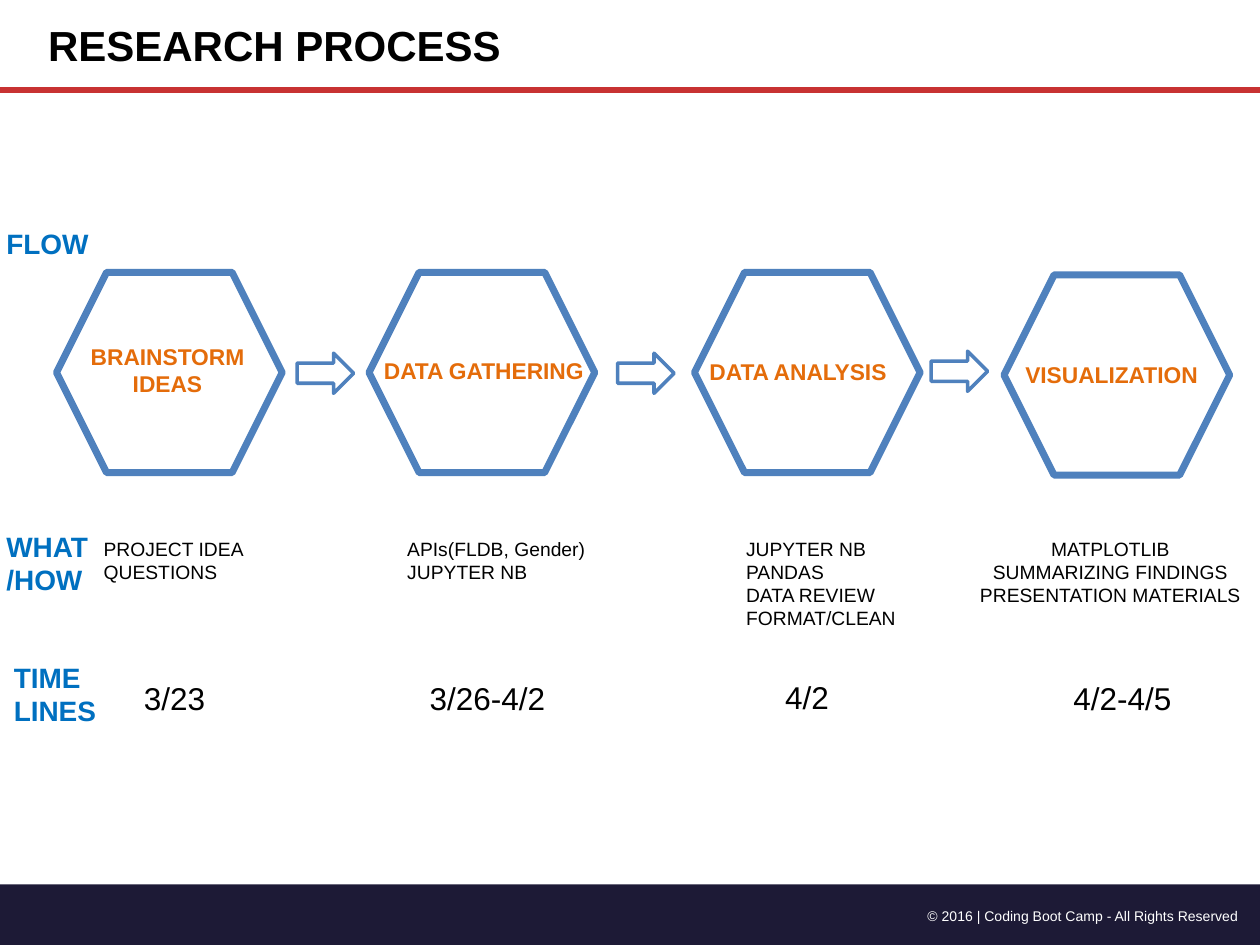
from pptx import Presentation
from pptx.dml.color import RGBColor
from pptx.enum.shapes import MSO_CONNECTOR, MSO_SHAPE
from pptx.enum.text import MSO_ANCHOR, PP_ALIGN
from pptx.oxml.ns import qn
from pptx.util import Cm, Pt
from lxml.etree import SubElement

BLACK = RGBColor(0x00, 0x00, 0x00)
WHITE = RGBColor(0xFF, 0xFF, 0xFF)
NAVY = RGBColor(0x1D, 0x1A, 0x36)
RED = RGBColor(0xC8, 0x32, 0x32)
BLUE = RGBColor(0x4F, 0x81, 0xBD)
ROW_BLUE = RGBColor(0x00, 0x70, 0xC0)
ORANGE = RGBColor(0xE4, 0x6C, 0x0A)

SLIDE_W, SLIDE_H = 25.4, 19.05
FOOTER_TOP = 17.83
HEX_W, HEX_H = 4.55, 4.04
ARROW_W, ARROW_H = 1.14, 0.81
TASKS_TOP = 10.7

TITLE = "RESEARCH PROCESS"
FOOTER = "© 2016 | Coding Boot Camp - All Rights Reserved"

ROW_LABELS = [
    (["FLOW"], (0, 4.44, 1.96, 0.94)),
    (["WHAT/HOW"], (0, 10.54, 1.96, 1.63)),
    (["TIME", "LINES"], (0.15, 13.18, 2.34, 1.63)),
]

STAGES = [
    {"hexagon": (1.14, 5.49),
     "name": ["BRAINSTORM", "IDEAS"], "name_box": (1.7, 6.78, 3.35, 1.37),
     "tasks": ["PROJECT IDEA", "QUESTIONS"], "tasks_box": (1.96, 3.12),
     "dates": "3/23", "dates_box": (2.77, 13.56, 1.8)},
    {"hexagon": (7.44, 5.49),
     "name": ["DATA GATHERING"], "name_box": (7.45, 7.06, 4.6, 0.81),
     "tasks": ["APIs(FLDB, Gender)", "JUPYTER NB"], "tasks_box": (8.08, 4.04),
     "dates": "3/26-4/2", "dates_box": (8.53, 13.56, 2.67)},
    {"hexagon": (14, 5.49),
     "name": ["DATA ANALYSIS"], "name_box": (14.07, 7.09, 4.03, 0.81),
     "tasks": ["JUPYTER NB", "PANDAS", "DATA REVIEW", "FORMAT/CLEAN"],
     "tasks_box": (14.91, 3.33),
     "dates": "4/2", "dates_box": (15.7, 13.53, 1.8)},
    {"hexagon": (20.24, 5.54),
     "name": ["VISUALIZATION"], "name_box": (20.5, 7.14, 3.81, 0.81),
     "tasks": ["MATPLOTLIB", "SUMMARIZING FINDINGS", "PRESENTATION MATERIALS"],
     "tasks_box": (19.58, 5.61), "tasks_align": PP_ALIGN.CENTER,
     "dates": "4/2-4/5", "dates_box": (21.51, 13.56, 2.34)},
]

ARROWS = [(5.99, 7.12), (12.45, 7.12), (18.77, 7.08)]


def add_text(slide, lines, box, size, color=BLACK, bold=False, wrap=True,
             align=PP_ALIGN.LEFT, anchor=MSO_ANCHOR.TOP):
    frame = slide.shapes.add_textbox(*map(Cm, box)).text_frame
    frame.word_wrap = wrap
    frame.vertical_anchor = anchor
    frame.margin_left = frame.margin_right = Cm(0.13)
    frame.margin_top = frame.margin_bottom = Cm(0.13)
    for index, line in enumerate(lines):
        paragraph = frame.add_paragraph() if index else frame.paragraphs[0]
        paragraph.alignment = align
        run = paragraph.add_run()
        run.text = line
        run.font.name = "Arial"
        run.font.size = Pt(size)
        run.font.bold = bold
        run.font.color.rgb = color


def add_block(slide, preset, box, fill, line=None, weight=0):
    block = slide.shapes.add_shape(preset, *map(Cm, box))
    block.shadow.inherit = False
    block.fill.solid()
    block.fill.fore_color.rgb = fill
    if line is None:
        block.line.fill.background()
    else:
        block.line.color.rgb = line
        block.line.width = Pt(weight)


def add_frame(slide):
    add_block(slide, MSO_SHAPE.RECTANGLE,
              (0, FOOTER_TOP, SLIDE_W, SLIDE_H - FOOTER_TOP), NAVY)
    add_text(slide, [FOOTER], (17.35, 18.16, 7.75, 0.56), 8,
             color=WHITE, align=PP_ALIGN.RIGHT)
    rule = slide.shapes.add_connector(
        MSO_CONNECTOR.STRAIGHT, 0, Cm(1.82), Cm(SLIDE_W), Cm(1.82))
    rule.line.color.rgb = RED
    rule.line.width = Pt(3.25)
    SubElement(rule.element.spPr, qn("a:effectLst"))
    add_text(slide, [TITLE], (0.84, 0.27, 15.19, 1.27), 24,
             bold=True, anchor=MSO_ANCHOR.MIDDLE)


def add_stage(slide, stage):
    add_block(slide, MSO_SHAPE.HEXAGON, (*stage["hexagon"], HEX_W, HEX_H),
              WHITE, BLUE, 4)
    add_text(slide, stage["name"], stage["name_box"], 13, color=ORANGE,
             bold=True, wrap=False, align=PP_ALIGN.CENTER)
    left, width = stage["tasks_box"]
    height = 0.26 + 0.47 * len(stage["tasks"])
    add_text(slide, stage["tasks"], (left, TASKS_TOP, width, height), 11,
             wrap=False, align=stage.get("tasks_align", PP_ALIGN.LEFT))
    add_text(slide, [stage["dates"]], (*stage["dates_box"], 1.02), 18)


def main():
    prs = Presentation()
    prs.slide_width, prs.slide_height = Cm(SLIDE_W), Cm(SLIDE_H)
    slide = prs.slides.add_slide(prs.slide_layouts[6])
    add_frame(slide)
    for stage in STAGES:
        add_stage(slide, stage)
    for position in ARROWS:
        add_block(slide, MSO_SHAPE.RIGHT_ARROW, (*position, ARROW_W, ARROW_H),
                  WHITE, BLUE, 2)
    for label, box in ROW_LABELS:
        add_text(slide, label, box, 16, color=ROW_BLUE, bold=True)
    prs.save("out.pptx")


if __name__ == "__main__":
    main()
